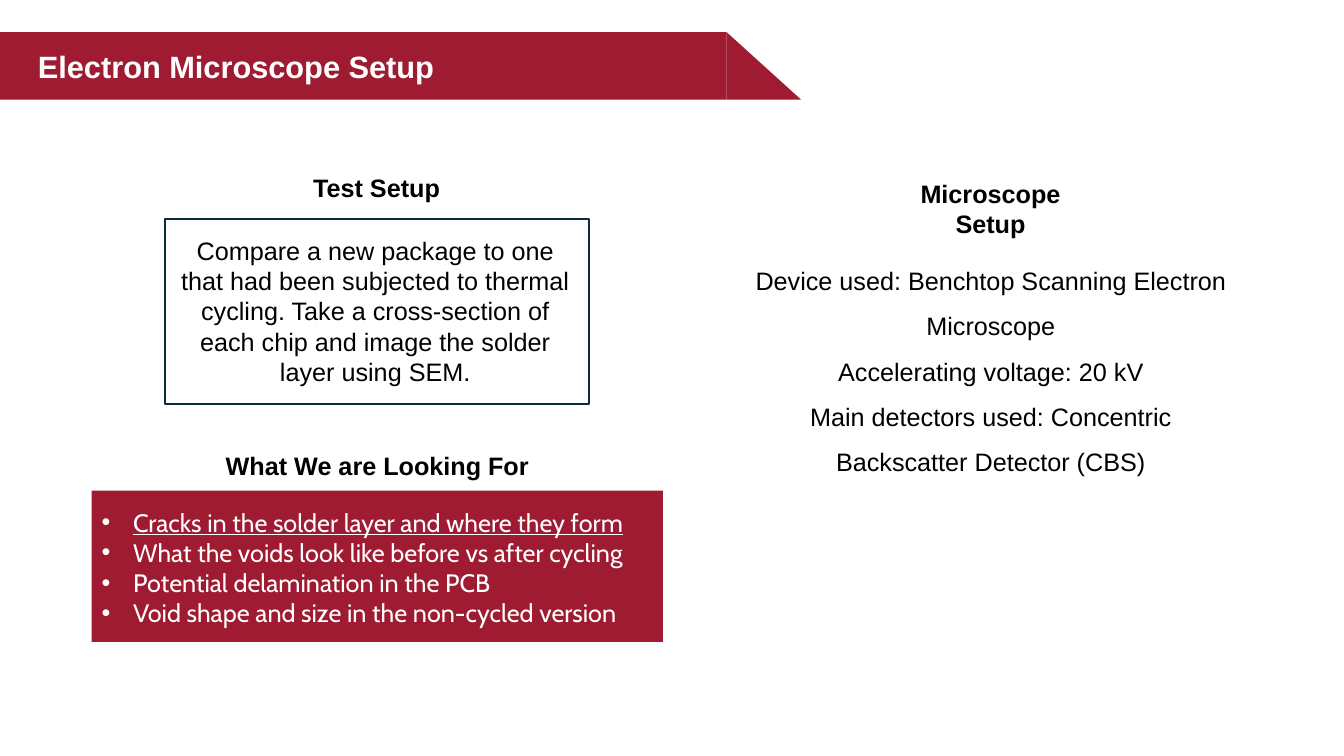
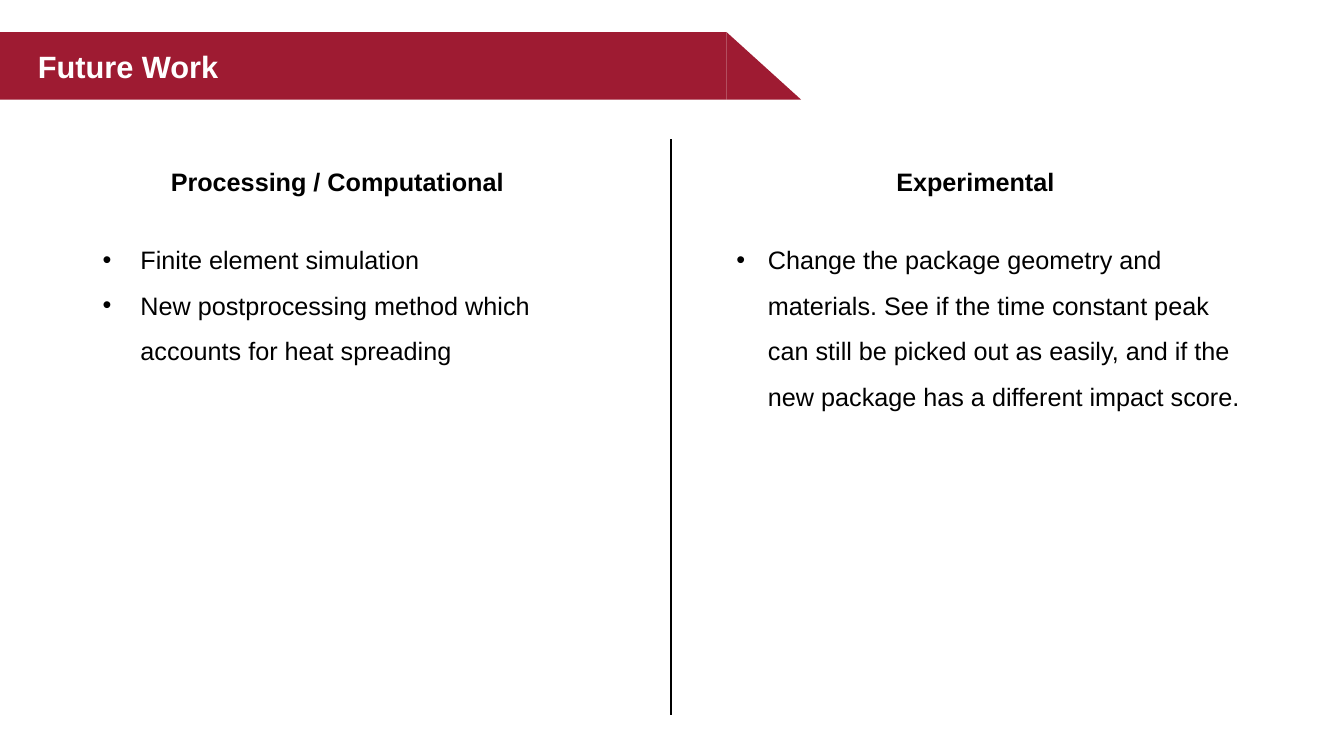
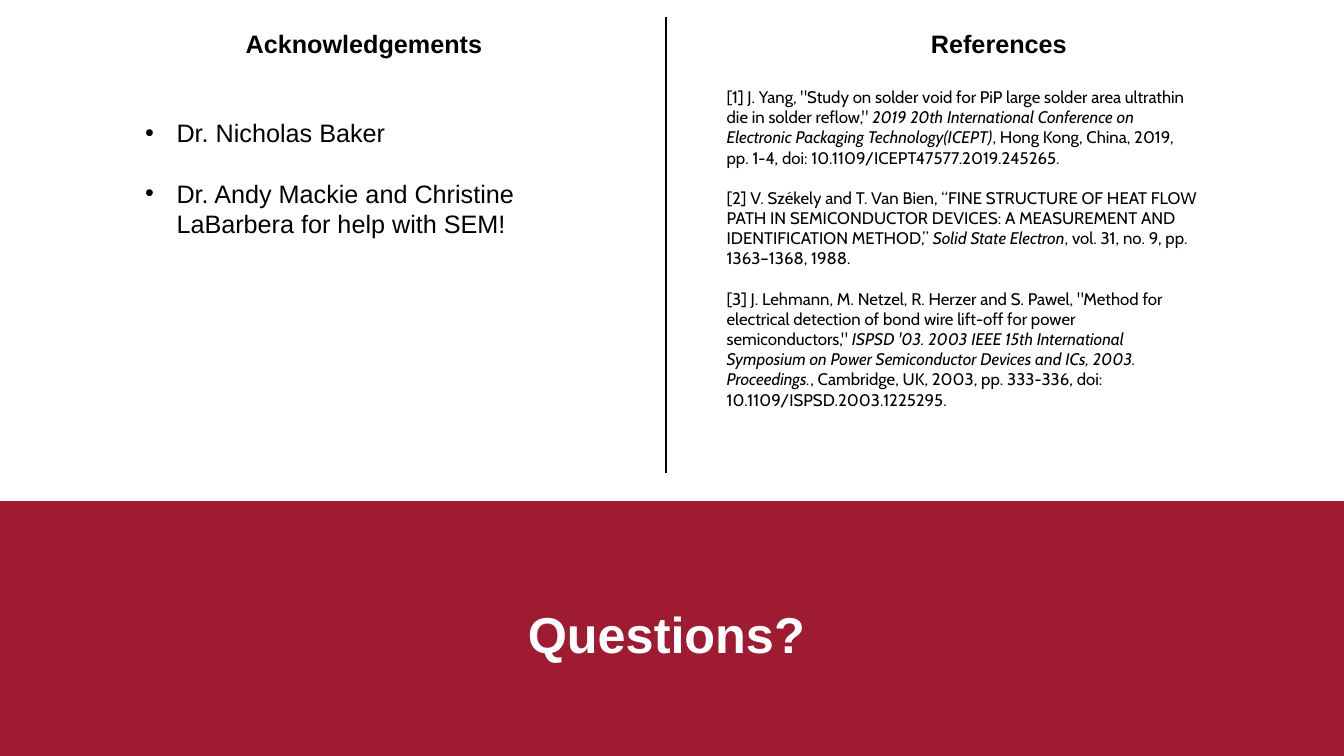
from pptx import Presentation
from pptx.dml.color import RGBColor
from pptx.enum.shapes import MSO_CONNECTOR, MSO_SHAPE
from pptx.enum.text import MSO_AUTO_SIZE, PP_ALIGN
from pptx.oxml.ns import qn
from pptx.util import Pt
from lxml.etree import SubElement

CRIMSON = "9E1B32"
NAVY = "092A39"
WHITE = "FFFFFF"
BLACK = "000000"
SLIDE_W, SLIDE_H = 960, 540
BAND_TOP, BAND_W, BAND_H, TIP_W = 23, 519, 48.25, 53.25
HEADING_H = 29


def rgb(value):
    return RGBColor.from_string(value)


def add_block(s, kind, x, y, w, h, fill=CRIMSON, line=None):
    sp = s.shapes.add_shape(kind, Pt(x), Pt(y), Pt(w), Pt(h))
    sp.shadow.inherit = False
    sp.fill.solid()
    sp.fill.fore_color.rgb = rgb(fill)
    if line:
        sp.line.color.rgb = rgb(line)
        sp.line.width = Pt(1.5)
    else:
        sp.line.fill.background()


def add_divider(s, x, top, bottom):
    cn = s.shapes.add_connector(MSO_CONNECTOR.STRAIGHT, Pt(x), Pt(top), Pt(x), Pt(bottom))
    cn.line.color.rgb = rgb(BLACK)
    cn.line.width = Pt(1.5)
    SubElement(cn._element.spPr, qn("a:effectLst"))


def set_bullet(p, indent):
    pPr = p._p.get_or_add_pPr()
    pPr.set("marL", str(Pt(indent)))
    pPr.set("indent", str(-Pt(indent)))
    SubElement(pPr, qn("a:buFont")).set("typeface", "Arial")
    SubElement(pPr, qn("a:buChar")).set("char", "•")


def add_text(s, paragraphs, x, y, w, h, size=18, font="Arial", color=BLACK, bold=False,
             align=PP_ALIGN.LEFT, spacing=None, gap=0, bullet=None, underlined=0):
    tf = s.shapes.add_textbox(Pt(x), Pt(y), Pt(w), Pt(h)).text_frame
    tf.word_wrap = True
    tf.auto_size = MSO_AUTO_SIZE.SHAPE_TO_FIT_TEXT
    for i, content in enumerate(paragraphs):
        p = tf.paragraphs[0] if i == 0 else tf.add_paragraph()
        if bullet:
            set_bullet(p, bullet)
        p.alignment = align
        if spacing:
            p.line_spacing = spacing
        if gap and i:
            p.space_before = Pt(gap)
        pieces = [content] if isinstance(content, str) else content
        for j, piece in enumerate(pieces):
            r = p.add_run()
            r.text = piece
            r.font.name = font
            r.font.size = Pt(size)
            r.font.color.rgb = rgb(color)
            r.font.bold = bold
            r.font.italic = j % 2 == 1
            r.font.underline = i < underlined


def add_heading(s, text, x, y, w=321, h=HEADING_H):
    add_text(s, [text], x, y, w, h, bold=True, align=PP_ALIGN.CENTER)


def add_title(s, text):
    add_block(s, MSO_SHAPE.RECTANGLE, 0, BAND_TOP, BAND_W, BAND_H)
    add_block(s, MSO_SHAPE.RIGHT_TRIANGLE, BAND_W, BAND_TOP, TIP_W, BAND_H)
    add_text(s, [text], 20, 30.25, 551.5, 34, size=22, color=WHITE, bold=True)


def build_microscope(s):
    add_block(s, MSO_SHAPE.RECTANGLE, 65.5, 350.5, 408, 108)
    add_block(s, MSO_SHAPE.RECTANGLE, 118, 156.5, 303, 132, fill=WHITE, line=NAVY)
    add_title(s, "Electron Microscope Setup")
    add_heading(s, "Microscope Setup", 629, 124, 157, 51)
    add_text(s, ["Device used: Benchtop Scanning Electron Microscope",
                 "Accelerating voltage: 20 kV",
                 "Main detectors used: Concentric Backscatter Detector (CBS)"],
             526, 175, 363.5, 167, align=PP_ALIGN.CENTER, spacing=1.5)
    add_heading(s, "Test Setup", 177, 119.5, 184)
    add_text(s, ["Compare a new package to one that had been subjected to thermal cycling. "
                 "Take a cross-section of each chip and image the solder layer using SEM."],
             118, 164.5, 300, 116.5, align=PP_ALIGN.CENTER)
    add_heading(s, "What We are Looking For", 147, 317.75, 245)
    add_text(s, ["Cracks in the solder layer and where they form",
                 "What the voids look like before vs after cycling",
                 "Potential delamination in the PCB",
                 "Void shape and size in the non-cycled version"],
             65.5, 358.5, 480, 94.5, font="Cabin", color=WHITE, bullet=22.5, underlined=1)


def build_future(s):
    add_title(s, "Future Work")
    add_divider(s, 479.5, 99.5, 510.5)
    add_heading(s, "Processing / Computational", 80.5, 115)
    add_heading(s, "Experimental", 536.25, 115)
    add_text(s, ["Finite element simulation",
                 "New postprocessing method which accounts for heat spreading"],
             66.25, 160.5, 386, 101.5, spacing=1.5, bullet=27)
    add_text(s, ["Change the package geometry and materials. See if the time constant peak "
                 "can still be picked out as easily, and if the new package has a different "
                 "impact score."],
             519, 160.5, 374.5, 134, spacing=1.5, bullet=22.5)


def build_closing(s):
    add_block(s, MSO_SHAPE.RECTANGLE, 0, 358, SLIDE_W, SLIDE_H - 358)
    add_divider(s, 476, 12, 338)
    add_heading(s, "Acknowledgements", 99.5, 16.75)
    add_heading(s, "References", 553, 16.75)
    add_text(s, ["Dr. Nicholas Baker",
                 "Dr. Andy Mackie and Christine LaBarbera for help with SEM!"],
             96.5, 80.5, 281.5, 94.5, gap=21.6, bullet=22.5)
    add_text(s, ["Questions?"], 236, 427, 480, 51, size=36, color=WHITE, bold=True,
             align=PP_ALIGN.CENTER)
    add_text(s, [
        ("[1] J. Yang, \"Study on solder void for PiP large solder area ultrathin die in "
         "solder reflow,\" ",
         "2019 20th International Conference on Electronic Packaging Technology(ICEPT)",
         ", Hong Kong, China, 2019, pp. 1-4, doi: 10.1109/ICEPT47577.2019.245265."),
        ("[2] V. Székely and T. Van Bien, “FINE STRUCTURE OF HEAT FLOW PATH IN "
         "SEMICONDUCTOR DEVICES: A MEASUREMENT AND IDENTIFICATION METHOD,” ",
         "Solid State Electron",
         ", vol. 31, no. 9, pp. 1363–1368, 1988."),
        ("[3] J. Lehmann, M. Netzel, R. Herzer and S. Pawel, \"Method for electrical "
         "detection of bond wire lift-off for power semiconductors,\" ",
         "ISPSD '03. 2003 IEEE 15th International Symposium on Power Semiconductor "
         "Devices and ICs, 2003. Proceedings.",
         ", Cambridge, UK, 2003, pp. 333-336, doi: 10.1109/ISPSD.2003.1225295."),
    ], 512, 58.5, 351.5, 283.5, size=12, font="Cabin", gap=14.4)


def main():
    prs = Presentation()
    prs.slide_width, prs.slide_height = Pt(SLIDE_W), Pt(SLIDE_H)
    for build in (build_microscope, build_future, build_closing):
        build(prs.slides.add_slide(prs.slide_layouts[6]))
    prs.save("out.pptx")


if __name__ == "__main__":
    main()
